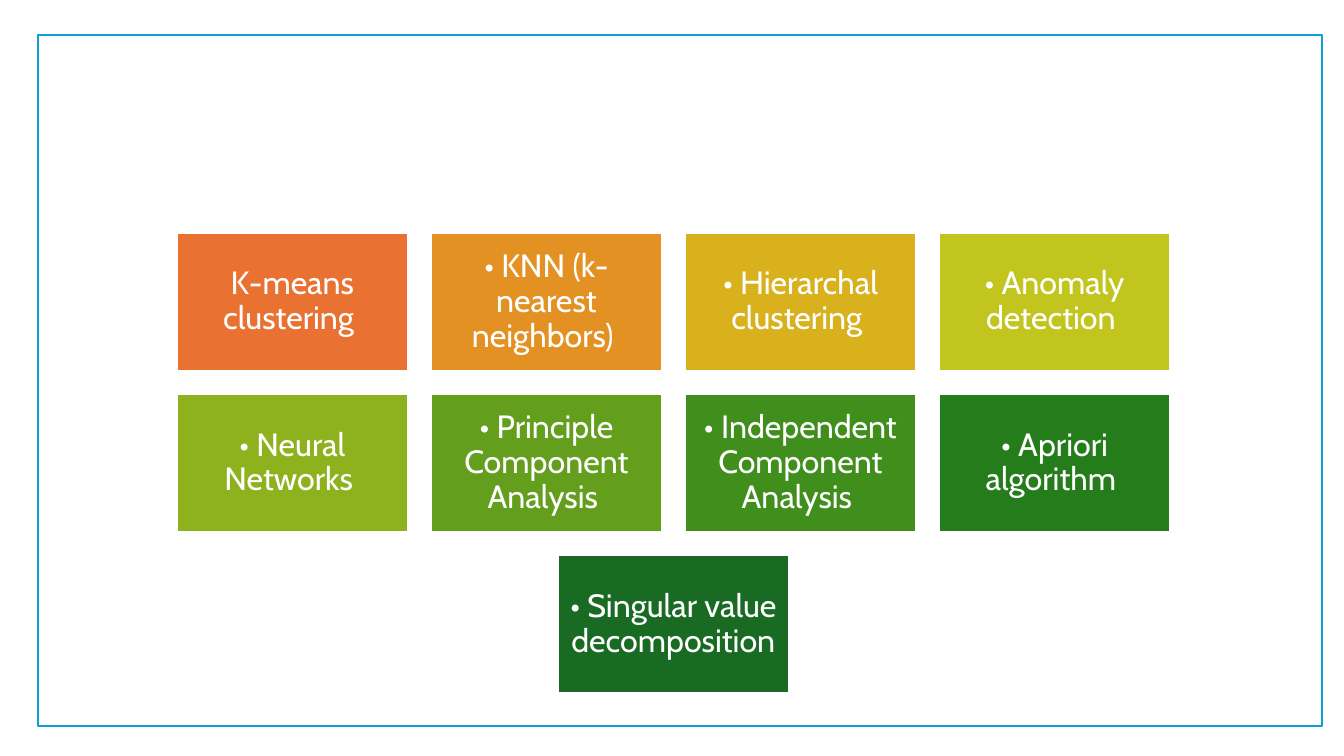
from dataclasses import dataclass

from pptx import Presentation
from pptx.dml.color import RGBColor
from pptx.enum.shapes import MSO_SHAPE
from pptx.enum.text import MSO_ANCHOR, PP_ALIGN
from pptx.util import Inches, Pt

RECTANGLE = MSO_SHAPE.RECTANGLE
MIDDLE = MSO_ANCHOR.MIDDLE
CENTER = PP_ALIGN.CENTER
BLANK_LAYOUT = 6


@dataclass(frozen=True)
class Theme:
    font: str = "Cabin"
    tile_size: float = 23
    line_width: float = 1.5
    white: str = "FFFFFF"
    frame: str = "0F9ED5"
    tiles: tuple = ("E97132", "E49124", "D8B11D", "C2C51E", "8EB21E",
                    "639F1D", "408E1C", "247C1B", "196B24")


THEME = Theme()

ALGORITHMS = (
    "K-means clustering ",
    "• KNN (k-nearest neighbors) ",
    "• Hierarchal clustering ",
    "• Anomaly detection ",
    "• Neural Networks ",
    "• Principle Component Analysis ",
    "• Independent Component Analysis ",
    "• Apriori algorithm ",
    "• Singular value decomposition",
)

COLUMNS = 4
GRID_CENTER, GRID_TOP = 6.68, 2.31
TILE_WIDTH, TILE_HEIGHT, GAP = 2.29, 1.37, 0.23


def add_box(slide, left, top, width, height, fill, line):
    box = slide.shapes.add_shape(
        RECTANGLE, Inches(left), Inches(top), Inches(width), Inches(height))
    box.shadow.inherit = False
    box.fill.solid()
    box.fill.fore_color.rgb = RGBColor.from_string(fill)
    box.line.color.rgb = RGBColor.from_string(line)
    box.line.width = Pt(THEME.line_width)
    return box


def add_tile(slide, left, top, algorithm, fill):
    tile = add_box(slide, left, top, TILE_WIDTH, TILE_HEIGHT, fill, THEME.white)
    frame = tile.text_frame
    frame.word_wrap = True
    frame.vertical_anchor = MIDDLE
    frame.margin_left = frame.margin_right = Inches(0.1)
    frame.margin_top = frame.margin_bottom = Inches(0.1)
    paragraph = frame.paragraphs[0]
    paragraph.alignment = CENTER
    paragraph.line_spacing = 0.9
    run = paragraph.add_run()
    run.text = algorithm
    run.font.name = THEME.font
    run.font.size = Pt(THEME.tile_size)
    run.font.color.rgb = RGBColor.from_string(THEME.white)


def add_tile_grid(slide, algorithms):
    """Lay the tiles out row by row, each row centred on the grid."""
    for start in range(0, len(algorithms), COLUMNS):
        row = algorithms[start:start + COLUMNS]
        row_width = len(row) * (TILE_WIDTH + GAP) - GAP
        row_left = GRID_CENTER - row_width / 2
        top = GRID_TOP + start // COLUMNS * (TILE_HEIGHT + GAP)
        for column, algorithm in enumerate(row):
            left = row_left + column * (TILE_WIDTH + GAP)
            add_tile(slide, left, top, algorithm, THEME.tiles[start + column])


def main():
    presentation = Presentation()
    presentation.slide_width = Inches(13.33)
    presentation.slide_height = Inches(7.5)
    slide = presentation.slides.add_slide(
        presentation.slide_layouts[BLANK_LAYOUT])
    add_box(slide, 0.38, 0.35, 12.73, 6.85, THEME.white, THEME.frame)
    add_tile_grid(slide, ALGORITHMS)
    presentation.save("out.pptx")


if __name__ == "__main__":
    main()
